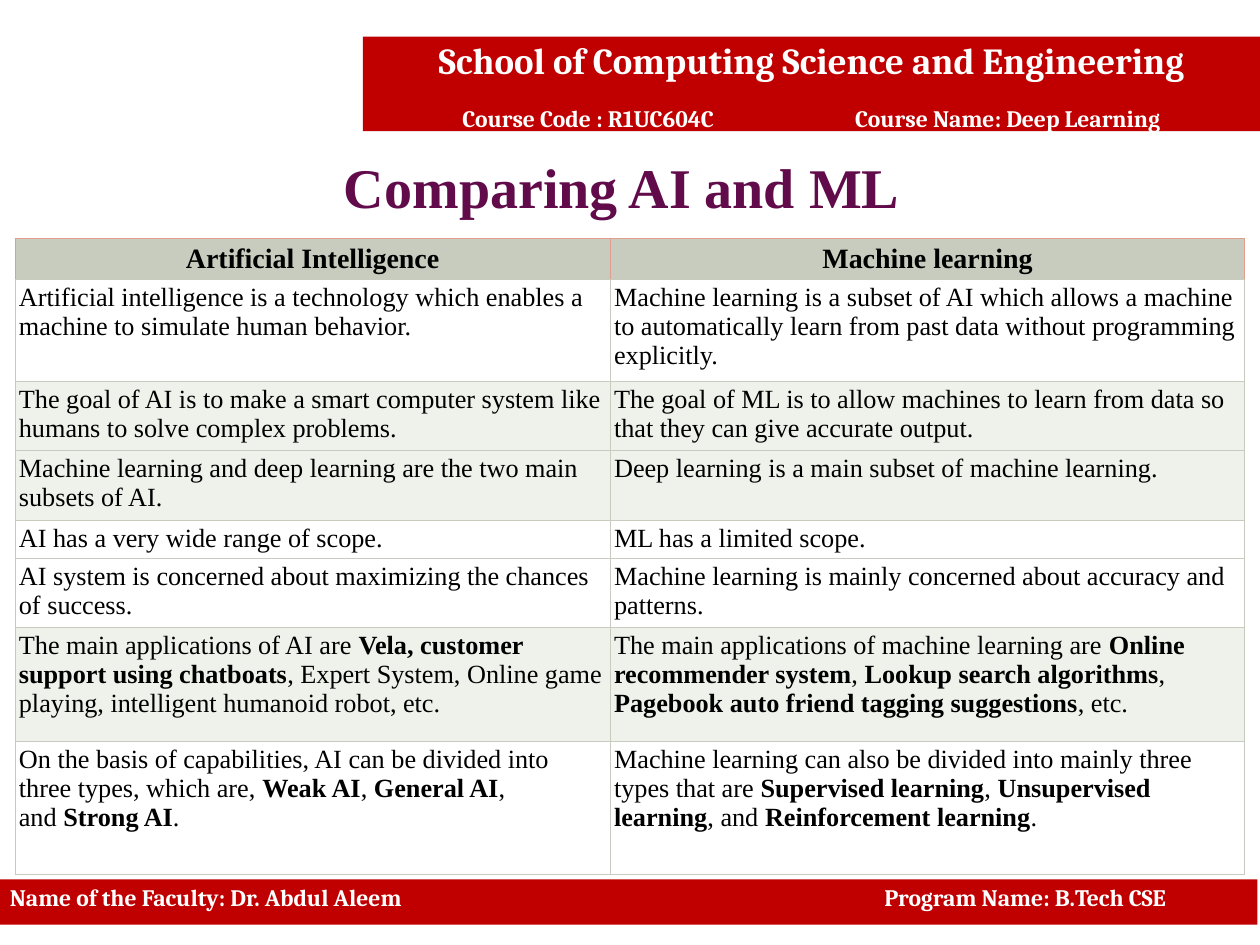
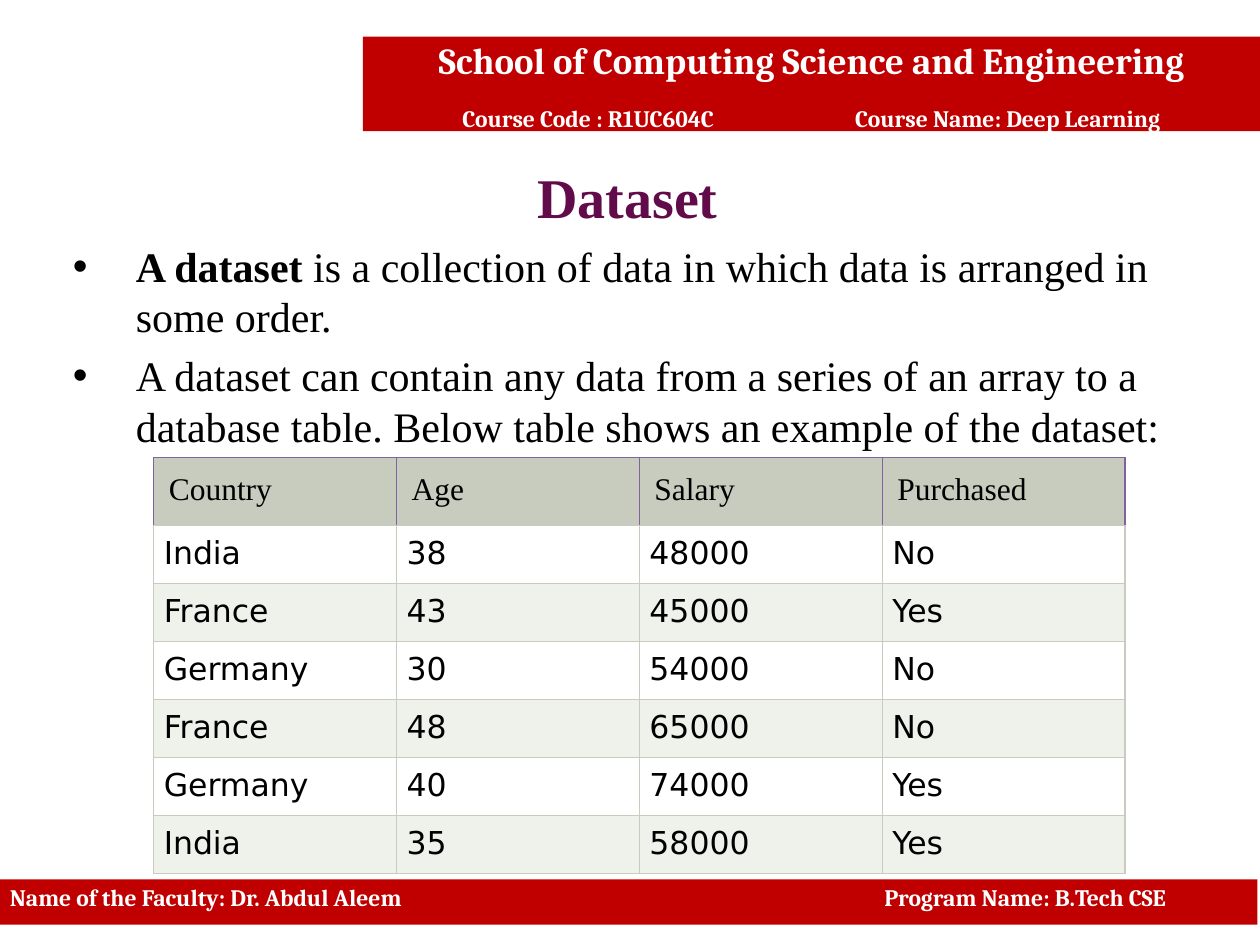
from dataclasses import dataclass
from itertools import cycle, islice

from pptx import Presentation
from pptx.dml.color import RGBColor
from pptx.enum.shapes import MSO_SHAPE as SHAPE
from pptx.enum.text import MSO_ANCHOR as ANCHOR, MSO_AUTO_SIZE as AUTO, PP_ALIGN as ALIGN
from pptx.oxml.ns import qn
from pptx.util import Emu, Inches, Pt
from lxml.etree import SubElement


@dataclass(frozen=True)
class Theme:
    band: str = "C00000"
    white: str = "FFFFFF"
    black: str = "000000"
    title: str = "610B4B"
    line: str = "C7CCBE"
    stripe: str = "EFF1EB"
    coral: str = "E09E8F"
    purple: str = "80629C"
    serif: str = "Times New Roman"
    band_font: str = "Cambria"
    sans: str = "DejaVu Sans"
    school_size: float = 21
    band_size: float = 13.5
    title_size: float = 32
    body_size: float = 24
    data_size: float = 18
    head_size: float = 16
    cell_size: float = 15


T = Theme()
COLS, ROWS = 100, 75
HEADER = (28.8, 2.9, 71.2, 7.5)
FOOTER = (-0.2, 69.8, 100, 3.6)
NBSP = chr(160)

COMPARISON = [
    ("Artificial Intelligence", "Machine learning"),
    ("Artificial intelligence is a technology which enables a machine to simulate human behavior.",
     "Machine learning is a subset of AI which allows a machine to automatically learn from past data "
     "without programming explicitly."),
    ("The goal of AI is to make a smart computer system like humans to solve complex problems.",
     "The goal of ML is to allow machines to learn from data so that they can give accurate output."),
    ("Machine learning and deep learning are the two main subsets of AI.",
     "Deep learning is a main subset of machine learning."),
    ("AI has a very wide range of scope.", "ML has a limited scope."),
    ("AI system is concerned about maximizing the chances of success.",
     "Machine learning is mainly concerned about accuracy and patterns."),
    ("The main applications of AI are |Vela, customer support using chatboats|, Expert System, "
     "Online game playing, intelligent humanoid robot, etc.",
     "The main applications of machine learning are |Online recommender system|, "
     "|Lookup search algorithms|, |Pagebook auto friend tagging suggestions|, etc."),
    ("On the basis of capabilities, AI can be divided into three types, which are, |Weak AI|, "
     f"|General AI|, and{NBSP}|Strong AI|.",
     "Machine learning can also be divided into mainly three types that are |Supervised learning|, "
     "|Unsupervised learning|, and |Reinforcement learning|."),
]

DATASET = [
    ("Country", "Age", "Salary", "Purchased"),
    ("India", "38", "48000", "No"),
    ("France", "43", "45000", "Yes"),
    ("Germany", "30", "54000", "No"),
    ("France", "48", "65000", "No"),
    ("Germany", "40", "74000", "Yes"),
    ("India", "35", "58000", "Yes"),
]

BULLETS = [
    "|A dataset| is a collection of data in which data is arranged in some order.",
    "A dataset can contain any data from a series of an array to a database table. "
    "Below table shows an example of the dataset:",
]


def place(prs, box):
    x, y, w, h = box
    col, row = prs.slide_width / COLS, prs.slide_height / ROWS
    return Emu(round(x * col)), Emu(round(y * row)), Emu(round(w * col)), Emu(round(h * row))


def add_runs(p, text, size, font, color, bold=False):
    for i, part in enumerate(text.split("|")):
        if part:
            r = p.add_run()
            r.text = part
            r.font.size, r.font.name = Pt(size), font
            r.font.bold = bold or i % 2 == 1
            r.font.color.rgb = RGBColor.from_string(color)


def set_tabs(p, width, shares):
    tabs = SubElement(p._p.get_or_add_pPr(), qn("a:tabLst"))
    for share in shares:
        SubElement(tabs, qn("a:tab"), pos=str(round(width * share)), algn="l")


def add_band(prs, s, box):
    sp = s.shapes.add_shape(SHAPE.RECTANGLE, *place(prs, box))
    sp.shadow.inherit = False
    sp.fill.solid()
    sp.fill.fore_color.rgb = RGBColor.from_string(T.band)
    sp.line.fill.background()
    tf = sp.text_frame
    tf.vertical_anchor = ANCHOR.TOP
    return sp, tf


def band_line(p, text, size, align=ALIGN.LEFT):
    p.alignment, p.line_spacing = align, 0.9
    add_runs(p, text, size, T.band_font, T.white, True)


def add_header(prs, s, box):
    sp, tf = add_band(prs, s, box)
    band_line(tf.paragraphs[0], "School of Computing Science and Engineering", T.school_size, ALIGN.CENTER)
    p = tf.add_paragraph()
    course = "\t".join(("", "Course Code : R1UC604C", "Course Name: Deep Learning"))
    band_line(p, course, T.band_size)
    p.space_before = Pt(14.2)
    set_tabs(p, sp.width, (0.097, 0.535))


def add_footer(prs, s, box):
    sp, tf = add_band(prs, s, box)
    p = tf.paragraphs[0]
    band_line(p, "\t".join(("Name of the Faculty: Dr. Abdul Aleem", "Program Name: B.Tech CSE")), T.band_size)
    set_tabs(p, sp.width, (0.694,))


def set_title(prs, s, text, box):
    sp = s.shapes.title
    sp.left, sp.top, sp.width, sp.height = place(prs, box)
    tf = sp.text_frame
    tf.word_wrap, tf.auto_size, tf.vertical_anchor = True, AUTO.NONE, ANCHOR.MIDDLE
    p = tf.paragraphs[0]
    p.alignment = ALIGN.CENTER
    add_runs(p, text, T.title_size, T.serif, T.title, True)


def add_bullets(prs, s, items, box):
    tf = s.shapes.add_textbox(*place(prs, box)).text_frame
    tf.word_wrap = True
    for i, item in enumerate(items):
        p = tf.add_paragraph() if i else tf.paragraphs[0]
        pPr = p._p.get_or_add_pPr()
        pPr.set("marL", str(Inches(0.5)))
        pPr.set("indent", str(Inches(-0.5)))
        SubElement(pPr, qn("a:buFont"), typeface="Arial")
        SubElement(pPr, qn("a:buChar"), char="•")
        p.space_before = Pt(T.body_size * 0.2)
        add_runs(p, item, T.body_size, T.serif, T.black)


def set_borders(cell, side_color, bottom_color):
    tcPr = cell._tc.get_or_add_tcPr()
    for i, side in enumerate("LRTB"):
        ln = SubElement(tcPr, qn(f"a:ln{side}"), w=str(Pt(0.75)))
        fill = SubElement(ln, qn("a:solidFill"))
        SubElement(fill, qn("a:srgbClr"), val=bottom_color if side == "B" else side_color)
        tcPr.insert(i, ln)


def add_grid(prs, s, data, box, col_shares, row_weights, fills, head, body):
    left, top, width, height = place(prs, box)
    table = s.shapes.add_table(len(data), len(data[0]), left, top, width, height).table
    table.first_row = table.horz_banding = False
    for col, share in zip(table.columns, col_shares):
        col.width = Emu(round(width * share))
    for row, weight in zip(table.rows, row_weights):
        row.height = Emu(round(height * weight / sum(row_weights)))
    for i, (values, fill) in enumerate(zip(data, [T.line, *fills])):
        look = body if i else head
        for j, value in enumerate(values):
            cell = table.cell(i, j)
            cell.fill.solid()
            cell.fill.fore_color.rgb = RGBColor.from_string(fill)
            set_borders(cell, look["border"], T.line)
            inset = Inches(look["inset"])
            cell.margin_left = cell.margin_right = cell.margin_top = cell.margin_bottom = inset
            p = cell.text_frame.paragraphs[0]
            p.alignment = look["align"]
            add_runs(p, value, look["size"], look["font"], T.black, look["bold"])


def cell_look(size, inset, font=T.serif, border=T.line, align=ALIGN.LEFT, bold=False):
    return dict(size=size, inset=inset, font=font, border=border, align=align, bold=bold)


def add_course_slide(prs, title, title_box):
    s = prs.slides.add_slide(prs.slide_layouts[5])
    add_header(prs, s, HEADER)
    add_footer(prs, s, FOOTER)
    set_title(prs, s, title, title_box)
    return s


def comparison_slide(prs):
    s = add_course_slide(prs, "Comparing AI and ML ", (4.8, 8.5, 90, 12.5))
    plain, tint = T.white, T.stripe
    add_grid(prs, s, COMPARISON, (1.2, 18.9, 97.6, 50.5), (0.484, 0.516),
             (33, 80, 55, 55, 30, 55, 90, 105),
             (plain, tint, tint, plain, plain, tint, plain),
             cell_look(T.head_size, 0.04, border=T.coral, align=ALIGN.CENTER, bold=True),
             cell_look(T.cell_size, 0.03))


def dataset_slide(prs):
    s = add_course_slide(prs, "Dataset", (4.8, 9.3, 90, 12.5))
    add_bullets(prs, s, BULLETS, (4.8, 18.6, 88.8, 46.5))
    records = len(DATASET) - 1
    add_grid(prs, s, DATASET, (12.2, 36.3, 77.1, 31.6), [0.25] * 4,
             [52] + [44] * records, islice(cycle((T.white, T.stripe)), records),
             cell_look(T.data_size, 0.12, border=T.purple),
             cell_look(T.data_size, 0.08, font=T.sans))


def main():
    prs = Presentation()
    prs.slide_width, prs.slide_height = Inches(10), Inches(7.5)
    comparison_slide(prs)
    dataset_slide(prs)
    prs.save("out.pptx")


if __name__ == "__main__":
    main()
